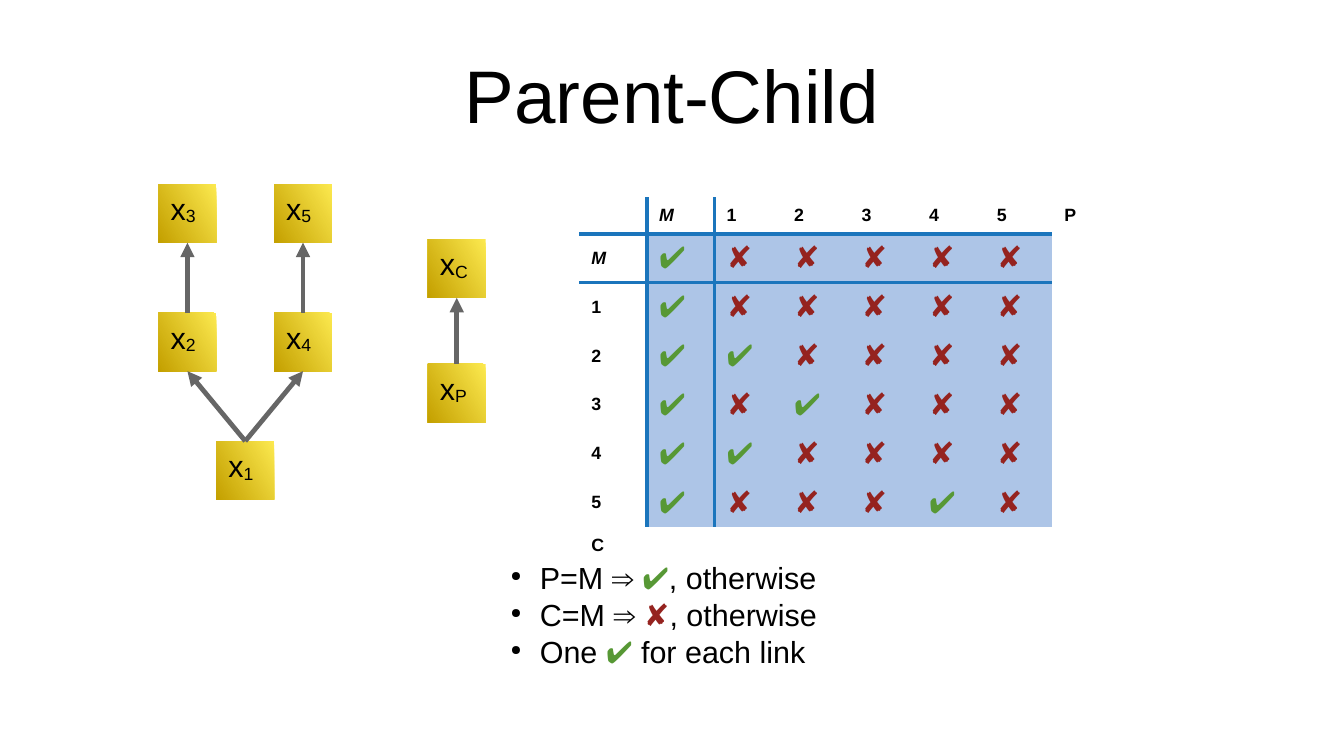
from dataclasses import dataclass
from itertools import groupby

from lxml.etree import SubElement as Sub
from pptx import Presentation
from pptx.dml.color import RGBColor as RGB
from pptx.enum.shapes import MSO_CONNECTOR as LINE, MSO_SHAPE as SHAPE
from pptx.enum.text import MSO_ANCHOR as ANCHOR, PP_ALIGN as ALIGN
from pptx.oxml.ns import qn
from pptx.util import Inches, Pt

WIDE, HIGH = 11.02, 6.2
YES, NO = "✔", "✘"


@dataclass(frozen=True)
class Theme:
    font: str = "Arial"
    ink: str = "000000"
    yes: str = "579835"
    no: str = "95231F"
    rule: str = "1B75BC"
    cell: str = "ADC5E7"
    arrow: str = "666666"
    light: str = "FCE94F"
    dark: str = "C4A000"
    head: float = 44
    body: float = 18
    label: float = 10.5
    thin: float = 2.27
    thick: float = 2.83


class Deck:
    """Draws on one slide; all lengths are percent of its width and height."""

    def __init__(self, theme):
        self.theme = theme
        self.file = Presentation()
        self.file.slide_width = Inches(WIDE)
        self.file.slide_height = Inches(HIGH)
        self.slide = self.file.slides.add_slide(self.file.slide_layouts[6])
        self.shapes = self.slide.shapes

    def box(self, x, y, w, h):
        return [Inches(WIDE * x / 100), Inches(HIGH * y / 100),
                Inches(WIDE * w / 100), Inches(HIGH * h / 100)]

    def label(self, par, text, size, bold=False, slant=False):
        """Adds text in ink, with each tick and cross in its own colour."""
        hues = {YES: self.theme.yes, NO: self.theme.no}
        for hue, part in groupby(text, lambda ch: hues.get(ch, self.theme.ink)):
            run = par.add_run()
            run.text = "".join(part)
            font = run.font
            font.name, font.size = self.theme.font, Pt(size)
            font.bold, font.italic = bold, slant
            font.color.rgb = RGB.from_string(hue)
        return par.runs[-1]

    def title(self, text, *area):
        frame = self.shapes.add_textbox(*self.box(*area)).text_frame
        frame.word_wrap = True
        frame.vertical_anchor = ANCHOR.MIDDLE
        frame.margin_left = frame.margin_right = 0
        frame.margin_top = frame.margin_bottom = 0
        frame.paragraphs[0].alignment = ALIGN.CENTER
        self.label(frame.paragraphs[0], text, self.theme.head)

    def node(self, name, *area):
        shape = self.shapes.add_shape(SHAPE.RECTANGLE, *self.box(*area))
        shape.shadow.inherit = False
        shape.line.fill.background()
        shape.fill.gradient()
        shape.fill.gradient_angle = 210
        tones = self.theme.light, self.theme.dark
        for stop, tone in zip(shape.fill.gradient_stops, tones):
            stop.color.rgb = RGB.from_string(tone)
        frame = shape.text_frame
        frame.word_wrap = True
        frame.vertical_anchor = ANCHOR.TOP
        par = frame.paragraphs[0]
        par.alignment = ALIGN.LEFT
        self.label(par, "x", self.theme.body)
        low = self.label(par, name, self.theme.body)
        low._r.get_or_add_rPr().set("baseline", "-8000")

    def arrow(self, x1, y1, x2, y2):
        ends = self.box(x1, y1, x2, y2)
        link = self.shapes.add_connector(LINE.STRAIGHT, *ends)
        link.line.width = Pt(self.theme.thick)
        link.line.color.rgb = RGB.from_string(self.theme.arrow)
        props = link._element.spPr
        Sub(props.find(qn("a:ln")), qn("a:tailEnd"), type="triangle")
        Sub(props, qn("a:effectLst"))

    def bullets(self, lines, *area):
        frame = self.shapes.add_textbox(*self.box(*area)).text_frame
        frame.word_wrap = True
        for i, text in enumerate(lines):
            par = frame.add_paragraph() if i else frame.paragraphs[0]
            props = par._p.get_or_add_pPr()
            props.set("marL", str(Inches(0.24)))
            props.set("indent", str(-Inches(0.24)))
            tint = Sub(props, qn("a:buClr"))
            Sub(tint, qn("a:srgbClr"), val=self.theme.ink)
            Sub(props, qn("a:buSzPct"), val="45000")
            Sub(props, qn("a:buChar"), char="●")
            self.label(par, text, self.theme.body)

    def edge(self, cell, sides):
        """Rules the given sides (from L, R, T, B, in that order) of a cell."""
        for side in sides:
            line = Sub(cell._tc.get_or_add_tcPr(), qn("a:ln" + side),
                       w=str(Pt(self.theme.thin)))
            fill = Sub(line, qn("a:solidFill"))
            Sub(fill, qn("a:srgbClr"), val=self.theme.rule)

    def cell(self, cell, text, sides):
        mark = text in (YES, NO)
        cell.vertical_anchor = ANCHOR.MIDDLE
        self.edge(cell, sides)
        if mark:
            cell.fill.solid()
            cell.fill.fore_color.rgb = RGB.from_string(self.theme.cell)
        else:
            cell.fill.background()
        par = cell.text_frame.paragraphs[0]
        if text:
            size = self.theme.body if mark else self.theme.label
            self.label(par, text, size, not mark, text == "M")
        else:
            Sub(par._p, qn("a:endParaRPr"), sz=str(int(self.theme.label * 100)))

    def table(self, data, x, y, wide, tall, short):
        """Rows are tall, but the first and last are short."""
        count = len(data)
        highs = [short] + [tall] * (count - 2) + [short]
        area = self.box(x, y, wide * len(data[0]), sum(highs))
        table = self.shapes.add_table(count, len(data[0]), *area).table
        table.first_row = table.horz_banding = False
        plain = "{2D5ABB26-0587-4C30-8999-92F81FD0307C}"
        table._tbl.tblPr.find(qn("a:tableStyleId")).text = plain
        for r, line in enumerate(data):
            table.rows[r].height = self.box(0, 0, 0, highs[r])[3]
            for c, text in enumerate(line):
                sides = "LR" if c == 1 and r < count - 1 else ""
                sides += "TB" if r == 1 and c < len(line) - 1 else ""
                self.cell(table.cell(r, c), text, sides)
        for col in table.columns:
            col.width = self.box(0, 0, wide, 0)[2]


def main():
    deck = Deck(Theme())
    deck.title("Parent-Child", 5, 4, 90, 16.8)

    # Child to parent, and each node's column and row in the graph
    links = {"2": "1", "4": "1", "3": "2", "5": "4", "C": "P"}
    spots = {"1": (1, 2), "2": (0, 1), "3": (0, 0), "4": (2, 1), "5": (2, 0),
             "P": (4.66, 1.4), "C": (4.66, 0.43)}
    wide, high, step = 4.3, 7.75, 17
    place = {name: (11.8 + wide * c, 24.35 + step * r)
             for name, (c, r) in spots.items()}

    keys = ["M", *"12345"]
    data = [["", *keys, "P"]]
    for kid in keys:
        marks = [YES if top in ("M", links.get(kid)) else NO for top in keys]
        data.append([kid, *marks, ""])
    data.append(["C"] + [""] * 7)
    deck.table(data, 43.1, 26.1, 5.03, 6.45, 4.85)

    for name, (x, y) in place.items():
        deck.node(name, x, y, wide, high)
    for kid, top in links.items():
        (x1, y1), (x2, y2) = place[top], place[kid]
        deck.arrow(x1 + wide / 2, y1, x2 + wide / 2, y2 + high)

    deck.bullets([f"P=M ⇒ {YES}, otherwise", f"C=M ⇒ {NO}, otherwise",
                  f"One {YES} for each link"], 37.1, 73.2, 25.7, 15.6)
    deck.file.save("out.pptx")


if __name__ == "__main__":
    main()
